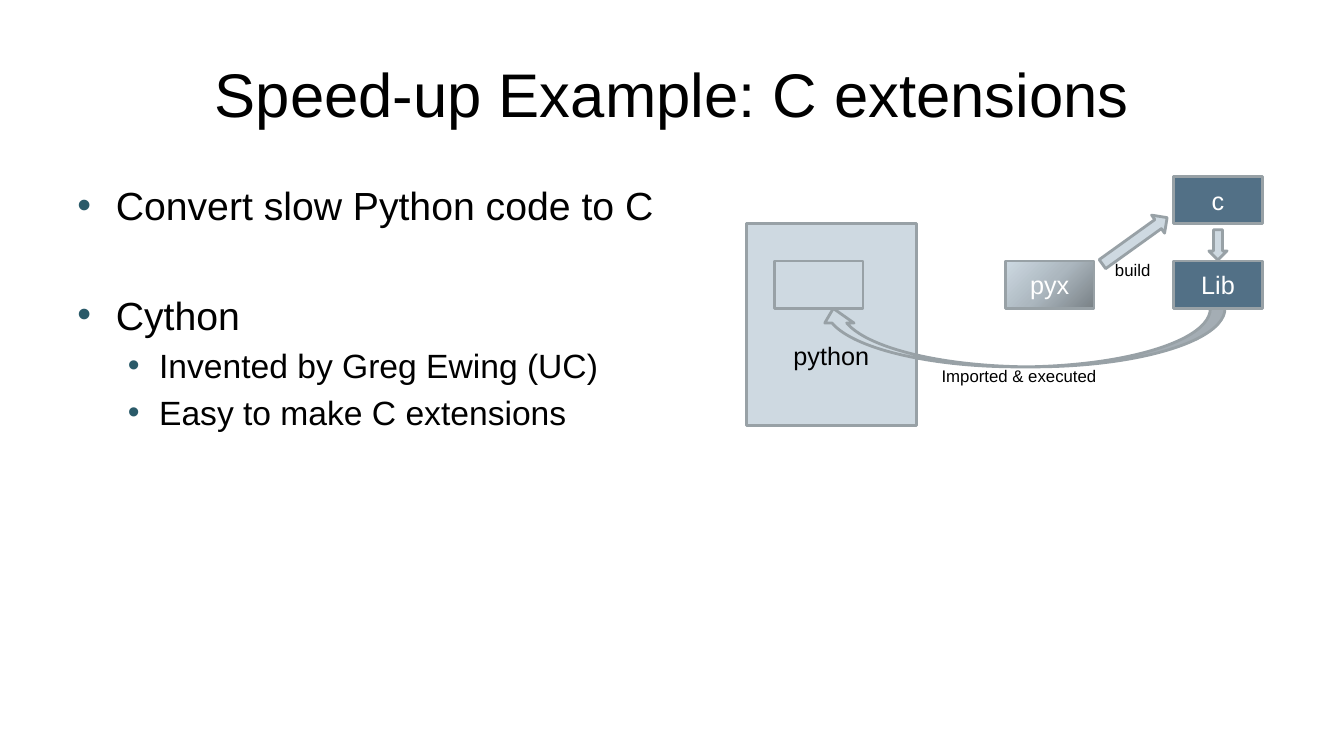
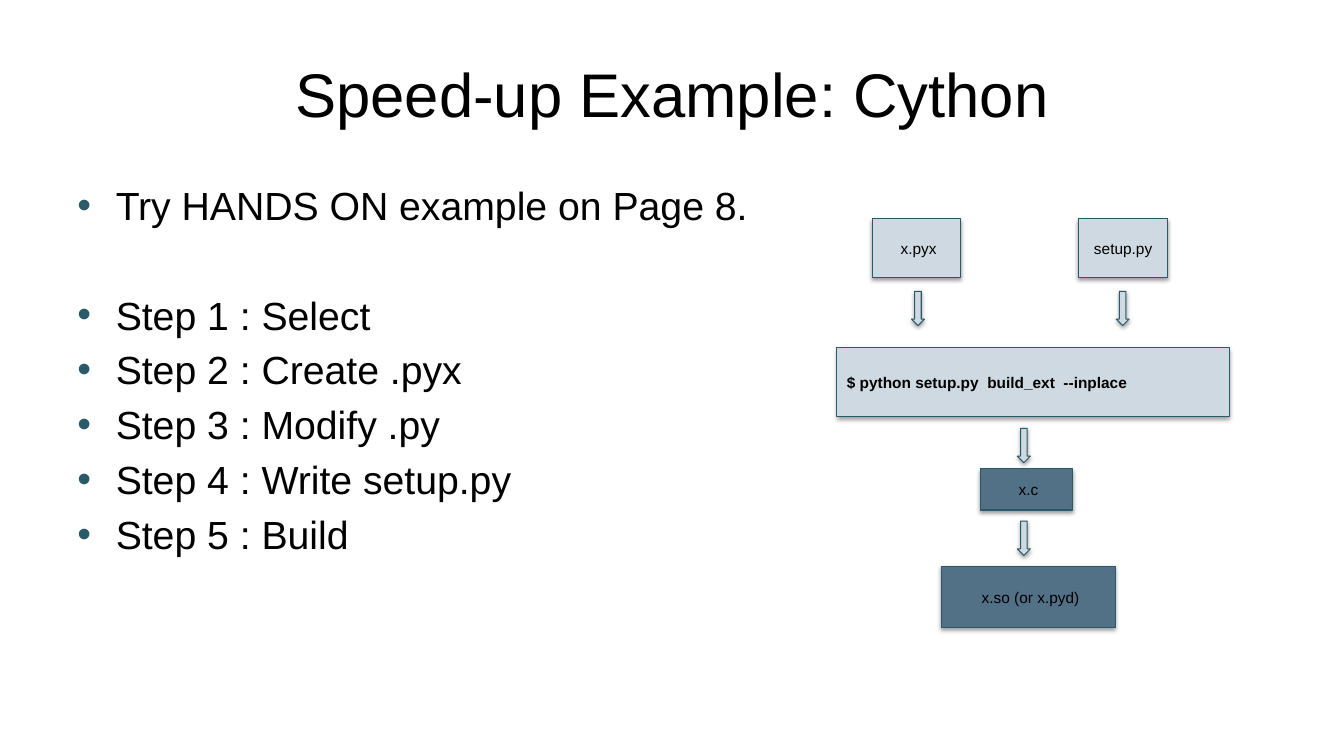
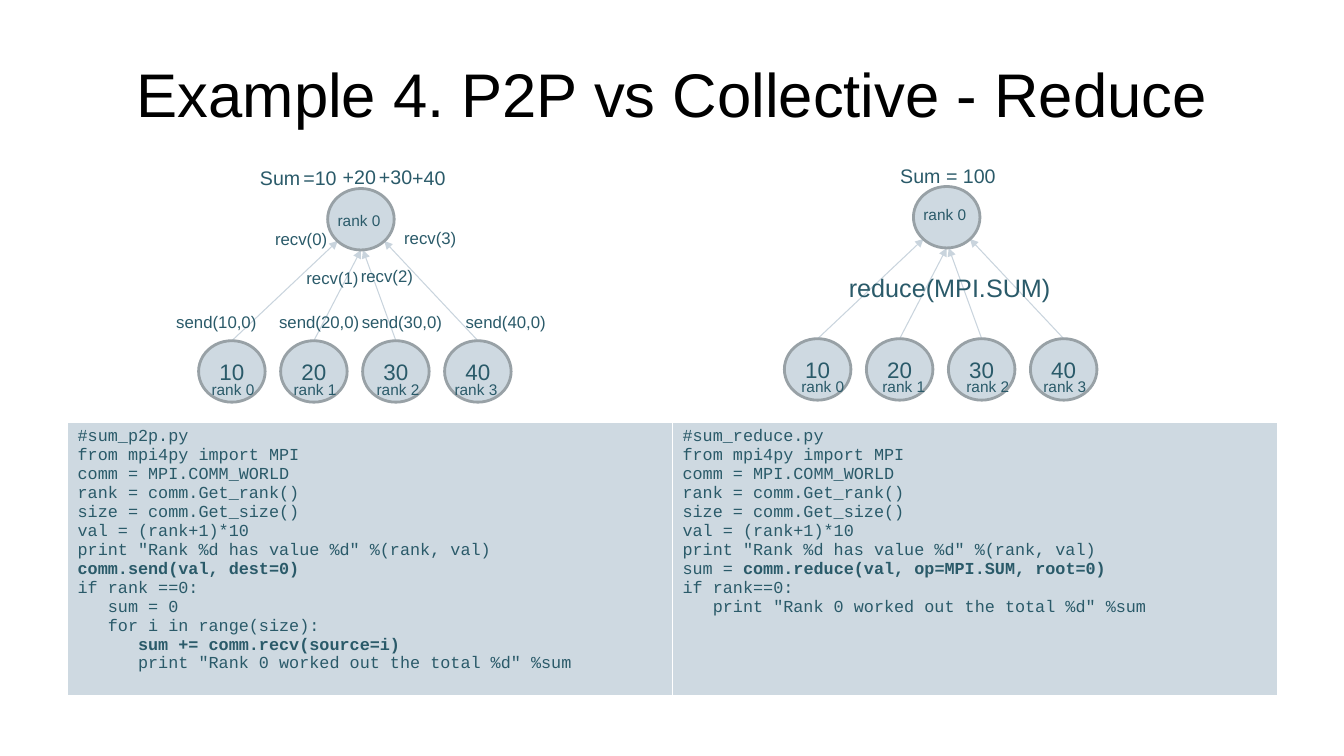
"""Build three slides on Python speed-ups and collective messaging."""
from dataclasses import dataclass

from pptx import Presentation
from pptx import util as u
from pptx.dml.color import RGBColor
from pptx.enum import shapes, text
from pptx.oxml import parse_xml
from pptx.oxml.ns import nsdecls, qn

BOX = shapes.MSO_SHAPE.RECTANGLE
CIRCLE = shapes.MSO_SHAPE.OVAL
DOWN = shapes.MSO_SHAPE.DOWN_ARROW
CENTER = text.PP_ALIGN.CENTER
LEFT = text.PP_ALIGN.LEFT
MIDDLE = text.MSO_ANCHOR.MIDDLE


@dataclass(frozen=True)
class Theme:
    """Colours, fonts and type sizes of the presentation."""
    ink: str = "000000"
    paper: str = "FFFFFF"
    accent: str = "2A5A69"
    pale: str = "CED9E1"
    dark: str = "527086"
    outline: str = "98A1A6"
    link: str = "C9D4DD"
    shades: tuple = ((0, "798186"), (50, "ACB7BF"), (100, "CDD9E2"))
    font: str = "Arial"
    mono: str = "Courier New"
    title: int = 44
    bullets: tuple = (28, 24)
    large: int = 18
    value: int = 16
    sum: int = 14
    label: int = 12
    small: int = 11


THEME = Theme()


def element(tag, content="", **attributes):
    """Return a drawing element with the given content and attributes."""
    listed = "".join(f' {name}="{value}"' for name, value in attributes.items())
    return parse_xml(f'<a:{tag} {nsdecls("a")}{listed}>{content}</a:{tag}>')


def color_xml(color, inner=""):
    """Return the markup of one colour."""
    return f'<a:srgbClr val="{color}">{inner}</a:srgbClr>'


def write(frame, content, size=THEME.large, color=THEME.ink, font=THEME.font,
          bold=False, align=LEFT):
    """Write lines, each a string or a (plain, bold) pair, into a text frame."""
    lines = [content] if isinstance(content, str) else content
    for index, line in enumerate(lines):
        paragraph = frame.paragraphs[0] if index == 0 else frame.add_paragraph()
        paragraph.alignment = align
        parts = ((line, bold),) if isinstance(line, str) else zip(line, (False, True))
        for words, heavy in parts:
            if words:
                run = paragraph.add_run()
                run.text = words
                run.font.size = u.Pt(size)
                run.font.name = font
                run.font.bold = heavy
                run.font.color.rgb = RGBColor.from_string(color)


class Deck:
    """Hold the theme and the current slide, and draw elements on it."""

    def __init__(self, theme):
        """Start a wide presentation."""
        self.theme = theme
        self.slide = None
        self.presentation = Presentation()
        self.presentation.slide_width = u.Inches(13.33)
        self.presentation.slide_height = u.Inches(7.5)

    def add_slide(self, title):
        """Add a slide with a centred title."""
        self.slide = self.presentation.slides.add_slide(self.presentation.slide_layouts[5])
        shape = self.slide.shapes.title
        shape.left, shape.top, shape.width, shape.height = map(u.Inches, (0.67, 0.3, 12, 1.25))
        shape.text_frame.vertical_anchor = MIDDLE
        write(shape.text_frame, title, size=self.theme.title, align=CENTER)

    def bullets(self, width, items):
        """Add bullets given as (text, level, extra points above)."""
        shape = self.slide.shapes.add_textbox(*map(u.Inches, (0.67, 1.75, width, 4.95)))
        frame = shape.text_frame
        frame.word_wrap = True
        write(frame, [item[0] for item in items])
        for paragraph, (_, level, gap) in zip(frame.paragraphs, items):
            size = self.theme.bullets[level]
            paragraph.level = level
            paragraph.runs[0].font.size = u.Pt(size)
            paragraph.space_before = u.Pt(size / 5 + gap)
            margin, hanging = ((0.38, -0.38), (0.81, -0.31))[level]
            properties = paragraph._p.get_or_add_pPr()
            properties.set("marL", str(u.Inches(margin)))
            properties.set("indent", str(u.Inches(hanging)))
            properties.append(element("buClr", color_xml(self.theme.accent)))
            properties.append(element("buFont", typeface=self.theme.font))
            properties.append(element("buChar", char="•"))

    def shape(self, kind, left, top, width, height, words="", fill=THEME.pale,
              line=THEME.outline, weight=2, shadow=False, align=CENTER, **style):
        """Add a filled preset shape with middle-anchored text."""
        shape = self.slide.shapes.add_shape(kind, *map(u.Inches, (left, top, width, height)))
        shape.fill.solid()
        shape.fill.fore_color.rgb = RGBColor.from_string(fill)
        shape.line.color.rgb = RGBColor.from_string(line)
        shape.line.width = u.Pt(weight)
        shape.shadow.inherit = False
        if shadow:
            cast = element("outerShdw", color_xml(self.theme.ink, '<a:alpha val="38000"/>'),
                           blurRad=u.Pt(3.1), dist=u.Pt(1.6), dir=5400000, rotWithShape=0)
            shape._element.spPr.find(qn("a:effectLst")).append(cast)
        if words:
            shape.text_frame.word_wrap = True
            shape.text_frame.vertical_anchor = MIDDLE
            write(shape.text_frame, words, align=align, **style)
        return shape

    def step(self, kind, *place, **style):
        """Add a thin-lined shape with a soft shadow."""
        return self.shape(kind, *place, line=self.theme.accent, weight=0.75, shadow=True,
                          size=self.theme.small, **style)

    def shade(self, shape):
        """Give a shape a gradient that darkens to its lower right corner."""
        stops = "".join(f'<a:gs pos="{place * 1000}">{color_xml(color)}</a:gs>'
                        for place, color in self.theme.shades)
        gradient = element("gradFill", f'<a:gsLst>{stops}</a:gsLst><a:path path="circle">'
                           '<a:fillToRect l="100000" t="100000"/></a:path>')
        properties = shape._element.spPr
        properties.replace(properties.find(qn("a:solidFill")), gradient)

    def label(self, words, left, top, width, height=0.3, **style):
        """Add a one-line label that fits its text."""
        shape = self.slide.shapes.add_textbox(*map(u.Inches, (left, top, width, height)))
        shape.text_frame.word_wrap = False
        shape.text_frame.auto_size = text.MSO_AUTO_SIZE.SHAPE_TO_FIT_TEXT
        write(shape.text_frame, words, **style)

    def arrow(self, start, end):
        """Add a thin line with an arrowhead at its end."""
        line = self.slide.shapes.add_connector(
            shapes.MSO_CONNECTOR.STRAIGHT, *map(u.Inches, (*start, *end)))
        line.line.color.rgb = RGBColor.from_string(self.theme.link)
        line.line.width = u.Pt(0.75)
        line.line._get_or_add_ln().append(element("tailEnd", type="triangle"))
        line._element.spPr.append(element("effectLst"))

    def rank_tree(self, left, top, root_drop, leaf_drop, nudges):
        """Add a root circle that receives from four value circles."""
        theme = self.theme
        root_left, leaf_top, pitch = left + 1.28, top + 1.51, 2.44 / 3
        width, height, label_width = 0.66, 0.61, 0.7
        targets = ((0.1, 0.52), (0.33, 0.61), (0.35, 0.61), (0.56, 0.52))
        rank_style = dict(size=theme.small, color=theme.accent)
        for rank, (across, down) in enumerate(targets):
            self.arrow((left + rank * pitch + width / 2, leaf_top),
                       (root_left + across, top + down))
        self.shape(CIRCLE, root_left, top, width, height)
        self.label("rank 0", root_left, top + root_drop, label_width, 0.29, **rank_style)
        for rank, nudge in enumerate(nudges):
            leaf_left = left + rank * pitch
            self.shape(CIRCLE, leaf_left, leaf_top, width, height, str(10 * (rank + 1)),
                       size=theme.value, color=theme.accent)
            self.label(f"rank {rank}", leaf_left + nudge, leaf_top + leaf_drop, label_width,
                       0.29, **rank_style)

    def code_table(self, listings):
        """Add a one-row table with one code listing in each column."""
        frame = self.slide.shapes.add_table(
            1, len(listings), *map(u.Inches, (0.67, 4.19, 12, 2.72)))
        for cell, lines in zip(frame.table.rows[0].cells, listings):
            write(cell.text_frame, lines, size=self.theme.label, color=self.theme.accent,
                  font=self.theme.mono)
            properties = cell._tc.get_or_add_tcPr()
            for side, weight in (("L", 1), ("R", 1), ("T", 1), ("B", 3)):
                fill = f"<a:solidFill>{color_xml(self.theme.paper)}</a:solidFill>"
                properties.append(element(f"ln{side}", fill, w=u.Pt(weight)))
            cell.fill.solid()
            cell.fill.fore_color.rgb = RGBColor.from_string(self.theme.pale)


def extensions_slide(deck):
    """Show how a C extension is built and imported."""
    theme = deck.theme
    deck.add_slide("Speed-up Example: C extensions")
    deck.bullets(6.22, [("Convert slow Python code to C", 0, 0), ("Cython", 0, 39),
                        ("Invented by Greg Ewing (UC)", 1, 0),
                        ("Easy to make C extensions", 1, 0)])
    python = deck.shape(BOX, 7.4, 2.22, 1.69, 2, "python")
    python.text_frame.margin_top = u.Inches(0.66)
    deck.shape(BOX, 7.68, 2.59, 0.88, 0.47)
    deck.shade(deck.shape(BOX, 9.97, 2.59, 0.88, 0.47, "pyx", color=theme.paper))
    imported = deck.shape(shapes.MSO_SHAPE.CURVED_UP_ARROW, 8.12, 3.06, 4.03, 0.58)
    imported._element.spPr.xfrm.set("flipH", "1")
    deck.label("Imported & executed", 9.24, 3.58, 1.75, size=theme.label)
    for words, top in (("Lib", 2.59), ("c", 1.75)):
        deck.shape(BOX, 11.64, top, 0.88, 0.47, words, fill=theme.dark, color=theme.paper)
    build = deck.shape(shapes.MSO_SHAPE.RIGHT_ARROW, 10.86, 2.28, 0.79, 0.22)
    build.rotation = 324.3
    deck.label("build", 10.96, 2.53, 0.61, size=theme.label)
    deck.shape(DOWN, 11.99, 2.28, 0.18, 0.3)


def cython_slide(deck):
    """Show the steps of a Cython build."""
    theme = deck.theme
    deck.add_slide("Speed-up Example: Cython")
    steps = ("Select", "Create .pyx", "Modify .py", "Write setup.py", "Build")
    deck.bullets(7.07, [("Try HANDS ON example on Page 8.", 0, 0)] + [
        (f"Step {number} : {words}", 0, 39 if number == 1 else 0)
        for number, words in enumerate(steps, 1)])
    for words, left in ((" x.pyx", 8.65), ("setup.py", 10.7)):
        deck.step(BOX, left, 2.17, 0.88, 0.58, words)
    deck.step(BOX, 8.3, 3.45, 3.89, 0.68, "$ python setup.py  build_ext  --inplace",
              bold=True, align=LEFT)
    deck.step(BOX, 9.72, 4.65, 0.92, 0.41, " x.c", fill=theme.dark)
    deck.step(BOX, 9.34, 5.62, 1.72, 0.61, " x.so (or x.pyd)", fill=theme.dark)
    for left, top in ((9.04, 2.89), (11.07, 2.89), (10.09, 4.25), (10.09, 5.17)):
        deck.step(DOWN, left, top, 0.13, 0.34)


def reduce_slide(deck):
    """Compare point-to-point messages with a collective reduce."""
    theme = deck.theme
    deck.add_slide("Example 4. P2P vs Collective - Reduce")
    opening = ["from mpi4py import MPI", "comm = MPI.COMM_WORLD", "rank = comm.Get_rank()",
               "size = comm.Get_size()", "val = (rank+1)*10",
               'print "Rank %d has value %d" %(rank, val)']
    total = 'print "Rank 0 worked out the total %d" %sum'
    deck.code_table([
        ["#sum_p2p.py", *opening, ("", "comm.send(val, dest=0)"), "if rank ==0:",
         "   sum = 0", "   for i in range(size):",
         ("", "      sum += comm.recv(source=i)"), "      " + total],
        ["#sum_reduce.py", *opening, ("sum = ", "comm.reduce(val, op=MPI.SUM, root=0)"),
         "if rank==0:", "   " + total]])
    deck.rank_tree(1.97, 1.87, 0.18, 0.34, (0.03, 0.03, 0.04, 0))
    deck.rank_tree(7.78, 1.85, 0.14, 0.33, (0.07, 0.06, 0.08, 0.03))
    for rank, left in enumerate((1.65, 2.67, 3.49, 4.52)):
        deck.label(f"send({10 * (rank + 1)},0)", left, 3.04, 1, size=theme.label,
                   color=theme.accent)
    for rank, (left, top) in enumerate(((2.63, 2.22), (2.94, 2.61), (3.48, 2.59), (3.91, 2.21))):
        deck.label(f"recv({rank})", left, top, 0.72, size=theme.label, color=theme.accent)
    for words, left, top, width in (("Sum", 2.48, 1.6, 0.61), ("=10", 2.91, 1.6, 0.55),
                                    ("+20", 3.3, 1.59, 0.55), ("+30", 3.66, 1.59, 0.55),
                                    ("+40", 3.99, 1.6, 0.55), ("Sum = 100", 8.83, 1.58, 1.15)):
        deck.label(words, left, top, width, 0.34, size=theme.sum, color=theme.accent)
    deck.label("reduce(MPI.SUM)", 8.32, 2.65, 2.22, 0.4, color=theme.accent)


def main():
    """Build and save the presentation."""
    deck = Deck(THEME)
    for build in (extensions_slide, cython_slide, reduce_slide):
        build(deck)
    deck.presentation.save("out.pptx")


main()
